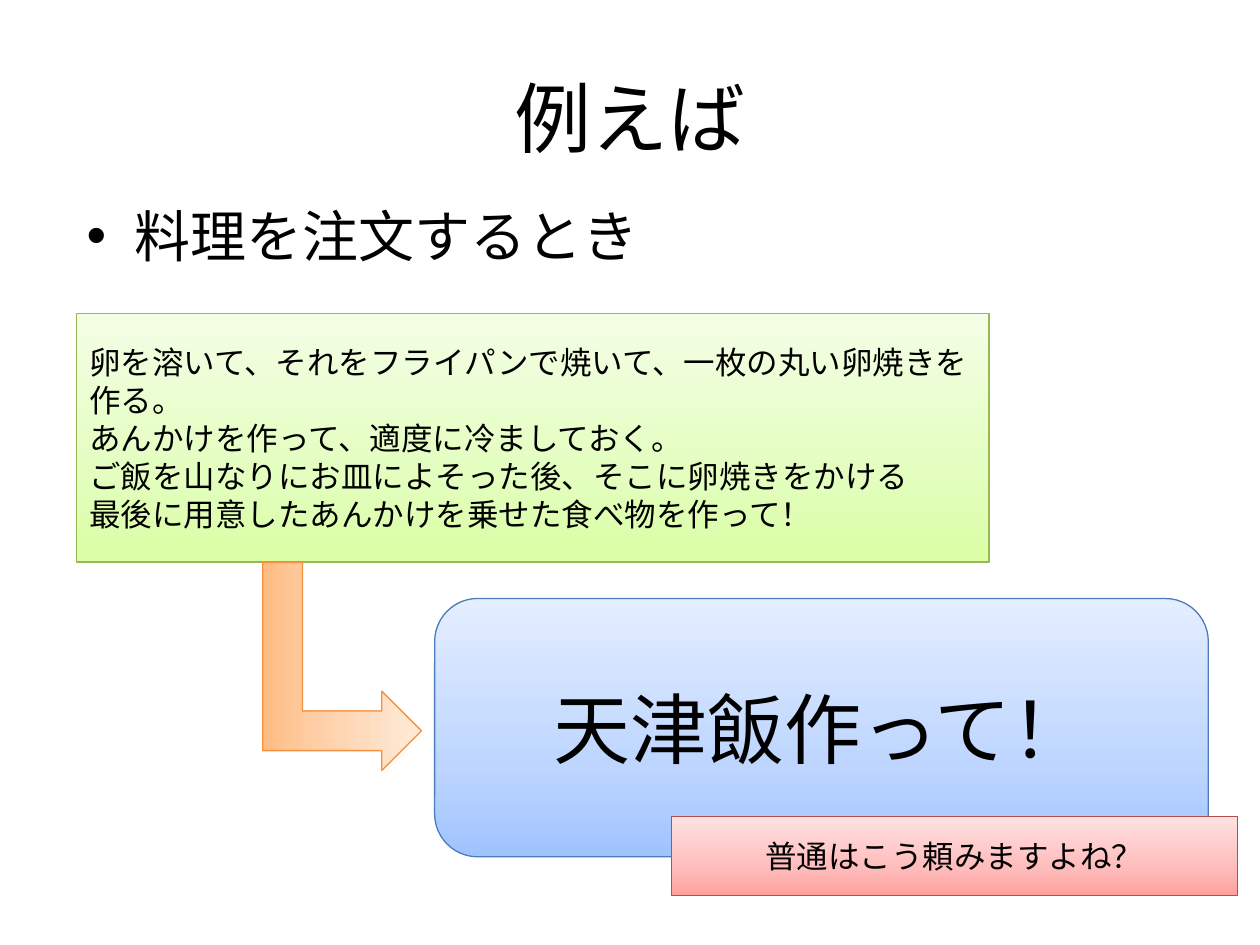
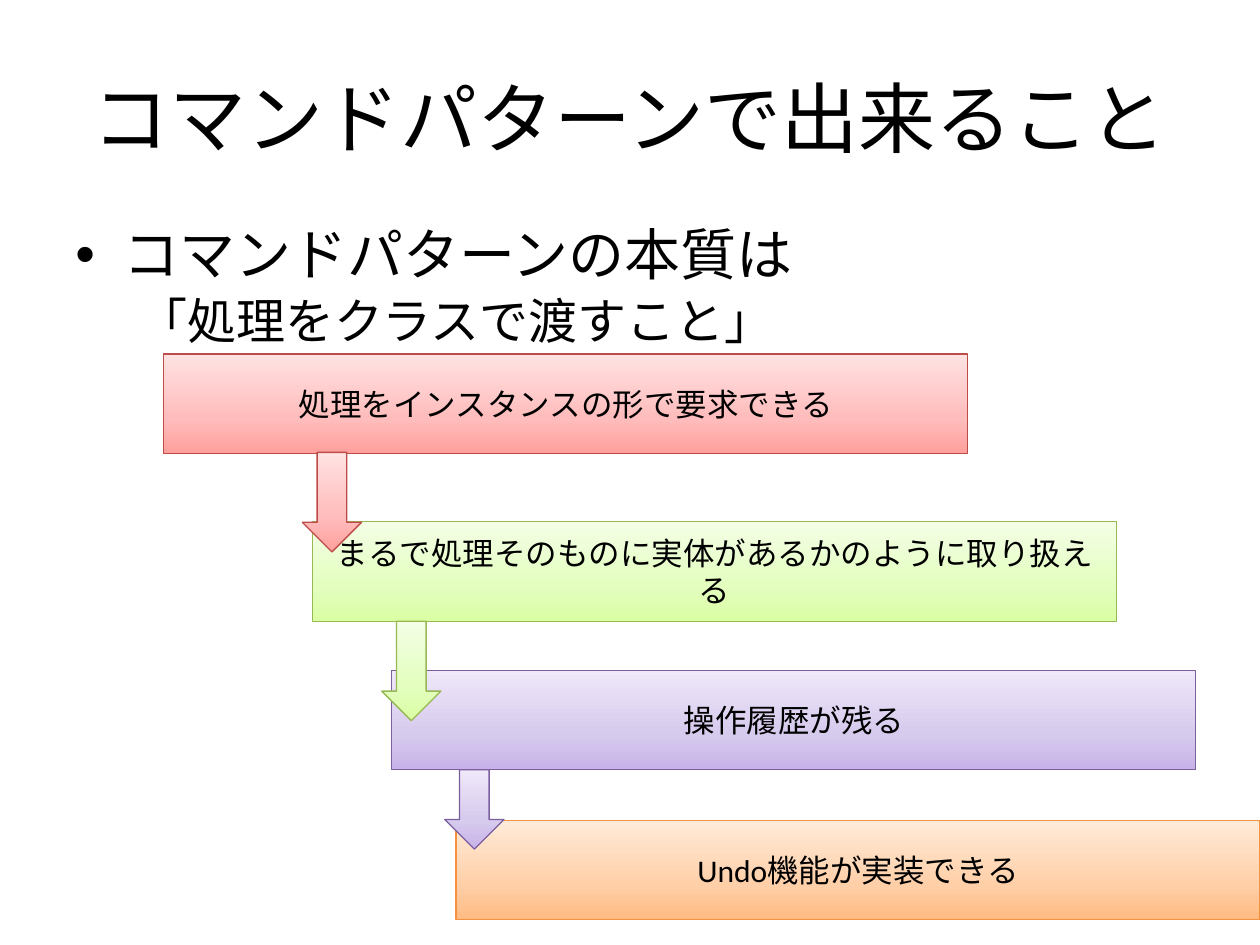
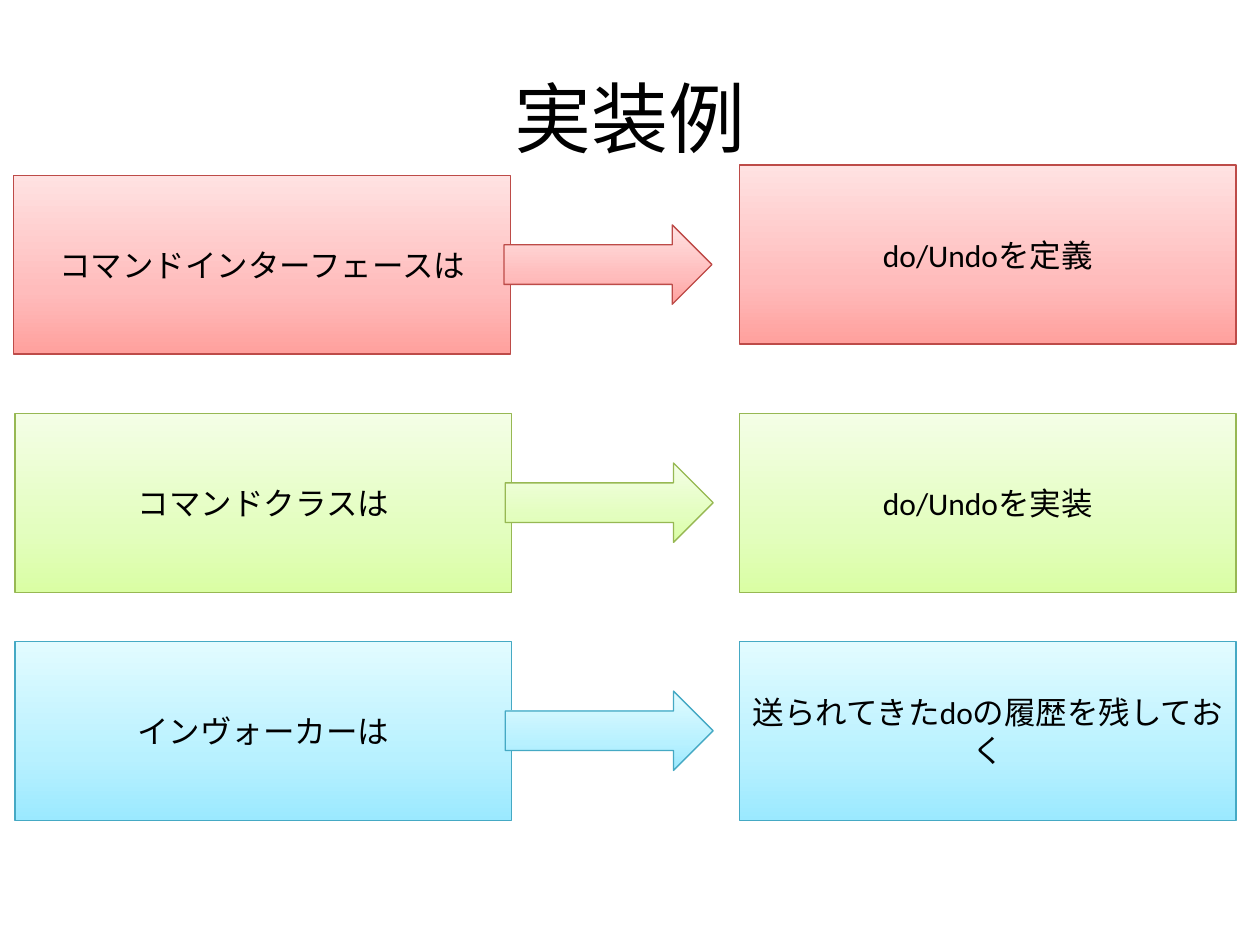
from dataclasses import dataclass

from lxml.etree import SubElement
from pptx import Presentation
from pptx.dml.color import RGBColor
from pptx.enum.shapes import MSO_SHAPE
from pptx.enum.text import MSO_ANCHOR, PP_ALIGN
from pptx.oxml.ns import qn
from pptx.shapes.autoshape import Shape
from pptx.slide import Slide
from pptx.text.text import TextFrame, _Paragraph
from pptx.util import Inches, Pt

FONT_NAME = "Calibri"
COLORS = {
    "text": "000000",
    "background": "FFFFFF",
    "red_line": "BD4B48",
    "green_line": "97B853",
    "blue_line": "4A7DBA",
    "purple_line": "7C5F9F",
    "orange_line": "F5913F",
    "cyan_line": "45A9C4",
}
GRADIENTS = {
    "red": ("FFA09D", "FFBCBC", "FFE2E2"),
    "green": ("DAFEA4", "E3FEBF", "F4FEE6"),
    "blue": ("9FC3FF", "BDD5FF", "E4EEFF"),
    "purple": ("C8B2E9", "D6CAED", "EFE8FA"),
    "orange": ("FFBB82", "FFCFA8", "FFEBD9"),
    "cyan": ("9BE9FF", "B8F1FF", "E2FBFF"),
}
STOP_POSITIONS = (0, 35000, 100000)


@dataclass(frozen=True)
class Box:
    left: float
    top: float
    width: float
    height: float


@dataclass(frozen=True)
class Panel:
    box: Box
    theme: str
    lines: tuple[str, ...] = ()
    size: int = 18
    alignment: PP_ALIGN = PP_ALIGN.CENTER
    kind: MSO_SHAPE = MSO_SHAPE.RECTANGLE
    rotation: int = 0


@dataclass(frozen=True)
class BodyLine:
    text: str
    size: int = 32
    bulleted: bool = True
    line_spacing: float = 1.0
    space_before: float = 0


@dataclass(frozen=True)
class Step:
    left: float
    top: float
    theme: str
    text: str


@dataclass(frozen=True)
class Role:
    left: float
    top: float
    result_top: float
    theme: str
    name: str
    duty: str


TITLE_BOX = Box(0.5, 0.3, 9, 1.25)
STEP_WIDTH, STEP_HEIGHT = 6.38, 0.79
ROLE_WIDTH, ROLE_HEIGHT = 3.94, 1.42
RESULT_LEFT = 5.87
ROLE_ARROW_WIDTH, ROLE_ARROW_HEIGHT = 1.65, 0.63
ROLE_ARROW_OVERLAP = 0.05

RECIPE = (
    "卵を溶いて、それをフライパンで焼いて、一枚の丸い卵焼きを作る。",
    "あんかけを作って、適度に冷ましておく。",
    "ご飯を山なりにお皿によそった後、そこに卵焼きをかける",
    "最後に用意したあんかけを乗せた食べ物を作って！",
)
ORDER_PANELS = (
    Panel(Box(0.61, 2.49, 7.24, 1.97), "green", RECIPE, alignment=PP_ALIGN.LEFT),
    Panel(Box(3.45, 4.75, 6.14, 2.05), "blue", ("天津飯作って！",), 44,
          kind=MSO_SHAPE.ROUNDED_RECTANGLE),
    Panel(Box(5.33, 6.48, 4.49, 0.63), "red", ("普通はこう頼みますよね？",)),
    Panel(Box(1.89, 4.66, 1.65, 1.26), "orange",
          kind=MSO_SHAPE.BENT_UP_ARROW, rotation=90),
)
STEPS = (
    Step(1.3, 2.81, "red", "処理をインスタンスの形で要求できる"),
    Step(2.48, 4.14, "green", "まるで処理そのものに実体があるかのように取り扱える"),
    Step(3.11, 5.32, "purple", "操作履歴が残る"),
    Step(3.62, 6.51, "orange", "Undo機能が実装できる"),
)
STEP_ARROWS = (
    Panel(Box(2.4, 3.59, 0.47, 0.79), "red", kind=MSO_SHAPE.DOWN_ARROW),
    Panel(Box(3.03, 4.93, 0.47, 0.79), "green", kind=MSO_SHAPE.DOWN_ARROW),
    Panel(Box(3.53, 6.11, 0.47, 0.63), "purple", kind=MSO_SHAPE.DOWN_ARROW),
)
ROLES = (
    Role(0.11, 1.39, 1.31, "red", "コマンドインターフェースは", "do/Undoを定義"),
    Role(0.12, 3.28, 3.28, "green", "コマンドクラスは", "do/Undoを実装"),
    Role(0.12, 5.09, 5.09, "cyan", "インヴォーカーは", "送られてきたdoの履歴を残しておく"),
)


def place(box: Box) -> tuple[Inches, Inches, Inches, Inches]:
    return Inches(box.left), Inches(box.top), Inches(box.width), Inches(box.height)


def style_paragraph(paragraph: _Paragraph, size: int) -> None:
    paragraph.font.name = FONT_NAME
    paragraph.font.size = Pt(size)
    paragraph.font.color.rgb = RGBColor.from_string(COLORS["text"])


def write_lines(frame: TextFrame, lines: tuple[str, ...], size: int,
                alignment: PP_ALIGN) -> None:
    frame.word_wrap = True
    frame.vertical_anchor = MSO_ANCHOR.MIDDLE
    for index, line in enumerate(lines):
        paragraph = frame.add_paragraph() if index else frame.paragraphs[0]
        paragraph.text = line
        paragraph.alignment = alignment
        style_paragraph(paragraph, size)


def fill_gradient(shape: Shape, theme: str) -> None:
    shape.fill.gradient()
    shape.fill.gradient_angle = 90
    stop_list = shape._element.spPr.find(qn("a:gradFill")).find(qn("a:gsLst"))
    for stop in list(stop_list):
        stop_list.remove(stop)
    for position, color in zip(STOP_POSITIONS, GRADIENTS[theme]):
        stop = SubElement(stop_list, qn("a:gs"), pos=str(position))
        SubElement(stop, qn("a:srgbClr"), val=color)


def add_panel(slide: Slide, panel: Panel) -> None:
    shape = slide.shapes.add_shape(panel.kind, *place(panel.box))
    shape.shadow.inherit = False
    shape.rotation = panel.rotation
    fill_gradient(shape, panel.theme)
    shape.line.color.rgb = RGBColor.from_string(COLORS[f"{panel.theme}_line"])
    shape.line.width = Pt(0.75)
    if panel.lines:
        write_lines(shape.text_frame, panel.lines, panel.size, panel.alignment)


def add_body(slide: Slide, box: Box, lines: tuple[BodyLine, ...]) -> None:
    frame = slide.shapes.add_textbox(*place(box)).text_frame
    frame.word_wrap = True
    for index, line in enumerate(lines):
        paragraph = frame.add_paragraph() if index else frame.paragraphs[0]
        paragraph.text = line.text
        paragraph.line_spacing = line.line_spacing
        if line.space_before:
            paragraph.space_before = Pt(line.space_before)
        properties = paragraph._p.get_or_add_pPr()
        if line.bulleted:
            properties.set("marL", str(Inches(0.38)))
            properties.set("indent", str(Inches(-0.38)))
            SubElement(properties, qn("a:buFont"), typeface="Arial")
            SubElement(properties, qn("a:buChar"), char="•")
        else:
            paragraph.level = 1
            properties.set("marL", str(Inches(0.5)))
            properties.set("indent", "0")
            SubElement(properties, qn("a:buNone"))
        style_paragraph(paragraph, line.size)


def add_titled_slide(presentation: Presentation, title: str) -> Slide:
    slide = presentation.slides.add_slide(presentation.slide_layouts[6])
    slide.background.fill.solid()
    slide.background.fill.fore_color.rgb = RGBColor.from_string(COLORS["background"])
    frame = slide.shapes.add_textbox(*place(TITLE_BOX)).text_frame
    write_lines(frame, (title,), 44, PP_ALIGN.CENTER)
    return slide


def build_order_slide(presentation: Presentation) -> None:
    slide = add_titled_slide(presentation, "例えば")
    add_body(slide, Box(0.59, 1.55, 9, 0.74), (BodyLine("料理を注文するとき"),))
    for panel in ORDER_PANELS:
        add_panel(slide, panel)


def build_abilities_slide(presentation: Presentation) -> None:
    slide = add_titled_slide(presentation, "コマンドパターンで出来ること")
    add_body(slide, Box(0.5, 1.75, 6.07, 1.13), (
        BodyLine("コマンドパターンの本質は", line_spacing=0.9),
        BodyLine("「処理をクラスで渡すこと」", 28, False, 0.9, 5.6),
    ))
    for step in STEPS:
        box = Box(step.left, step.top, STEP_WIDTH, STEP_HEIGHT)
        add_panel(slide, Panel(box, step.theme, (step.text,)))
    for arrow in STEP_ARROWS:
        add_panel(slide, arrow)


def build_roles_slide(presentation: Presentation) -> None:
    slide = add_titled_slide(presentation, "実装例")
    for role in ROLES:
        name_box = Box(role.left, role.top, ROLE_WIDTH, ROLE_HEIGHT)
        duty_box = Box(RESULT_LEFT, role.result_top, ROLE_WIDTH, ROLE_HEIGHT)
        arrow_box = Box(role.left + ROLE_WIDTH - ROLE_ARROW_OVERLAP,
                        role.top + (ROLE_HEIGHT - ROLE_ARROW_HEIGHT) / 2,
                        ROLE_ARROW_WIDTH, ROLE_ARROW_HEIGHT)
        add_panel(slide, Panel(name_box, role.theme, (role.name,)))
        add_panel(slide, Panel(arrow_box, role.theme, kind=MSO_SHAPE.RIGHT_ARROW))
        add_panel(slide, Panel(duty_box, role.theme, (role.duty,)))


def main() -> None:
    presentation = Presentation()
    presentation.slide_width = Inches(10)
    presentation.slide_height = Inches(7.5)
    build_order_slide(presentation)
    build_abilities_slide(presentation)
    build_roles_slide(presentation)
    presentation.save("out.pptx")


if __name__ == "__main__":
    main()
